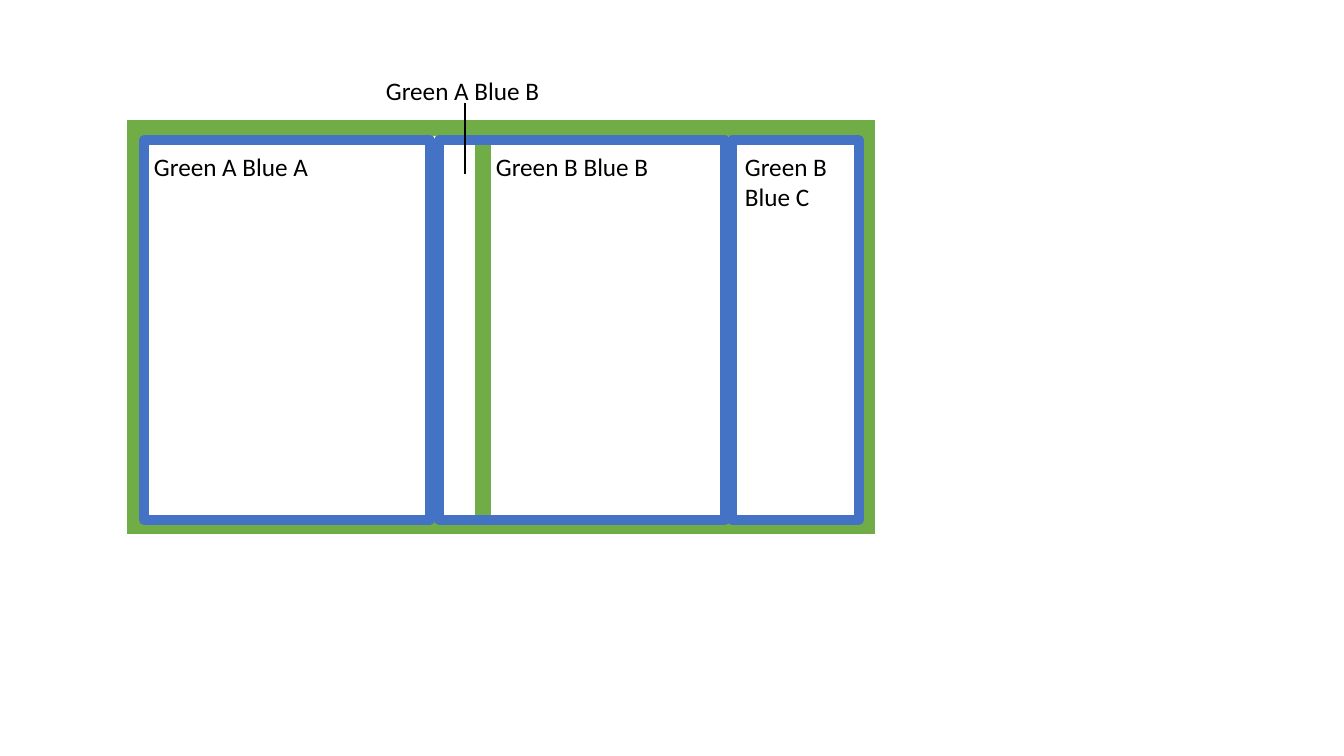
from dataclasses import dataclass

from lxml.etree import SubElement
from pptx import Presentation
from pptx.dml.color import RGBColor
from pptx.enum.shapes import MSO_CONNECTOR, MSO_SHAPE
from pptx.enum.text import MSO_AUTO_SIZE
from pptx.oxml.ns import qn
from pptx.slide import Slide
from pptx.util import Emu, Pt

PIXELS_PER_INCH = 100.8


@dataclass(frozen=True)
class Theme:
    """Colours, type and line widths of the slide."""

    green: str = "70AD47"
    blue: str = "4472C4"
    white: str = "FFFFFF"
    black: str = "000000"
    font: str = "Calibri"
    text_size: int = 18
    green_width: int = 11
    blue_width: int = 7
    pointer_width: int = 2


@dataclass(frozen=True)
class Box:
    """A rectangle in pixels."""

    left: int
    top: int
    width: int
    height: int


@dataclass(frozen=True)
class Label:
    """Text lines and the box that holds them."""

    lines: tuple[str, ...]
    box: Box


THEME = Theme()
GREEN_TOP, GREEN_WIDTH, GREEN_HEIGHT = 128, 384, 398
BLUE_TOP, BLUE_WIDTH, BLUE_HEIGHT = 140, 286, 380
LABEL_TOP, LABEL_HEIGHT = 146, 40

GREEN_FRAMES = [Box(left, GREEN_TOP, GREEN_WIDTH, GREEN_HEIGHT) for left in (135, 483)]
BLUE_FRAMES = [
    Box(left, BLUE_TOP, width, BLUE_HEIGHT)
    for left, width in ((144, BLUE_WIDTH), (732, 127), (439, BLUE_WIDTH))
]
LABELS = [
    Label(("Green A Blue A",), Box(144, LABEL_TOP, 176, LABEL_HEIGHT)),
    Label(("Green B Blue B",), Box(486, LABEL_TOP, 174, LABEL_HEIGHT)),
    Label(("Green B", "Blue C"), Box(735, LABEL_TOP, 104, 72)),
    Label(("Green A Blue B",), Box(376, 70, 175, LABEL_HEIGHT)),
]


def pixels(length: int) -> Emu:
    """Turn pixels into EMU."""
    return Emu(round(length * 914400 / PIXELS_PER_INCH))


def place(box: Box) -> tuple[Emu, Emu, Emu, Emu]:
    """Give the left, top, width and height of a box in EMU."""
    return pixels(box.left), pixels(box.top), pixels(box.width), pixels(box.height)


def add_frame(
    slide: Slide, box: Box, *, color: str, width: int, join: str, fill: str | None = None
) -> None:
    """Draw an outlined rectangle, hollow unless a fill is given."""
    shape = slide.shapes.add_shape(MSO_SHAPE.RECTANGLE, *place(box))
    shape.shadow.inherit = False
    if fill is None:
        shape.fill.background()
    else:
        shape.fill.solid()
        shape.fill.fore_color.rgb = RGBColor.from_string(fill)
    shape.line.color.rgb = RGBColor.from_string(color)
    shape.line.width = Pt(width)
    line_xml = shape.line._get_or_add_ln()
    join_xml = SubElement(line_xml, qn(f"a:{join}"))
    if join == "miter":
        join_xml.set("lim", "800000")


def add_text(
    slide: Slide,
    label: Label,
    *,
    size: int = THEME.text_size,
    color: str = THEME.black,
    font: str = THEME.font,
) -> None:
    """Write each line of a label as a paragraph in one text box."""
    frame = slide.shapes.add_textbox(*place(label.box)).text_frame
    frame.word_wrap = False
    frame.auto_size = MSO_AUTO_SIZE.SHAPE_TO_FIT_TEXT
    frame.text = "\n".join(label.lines)
    for paragraph in frame.paragraphs:
        for run in paragraph.runs:
            run.font.name = font
            run.font.size = Pt(size)
            run.font.color.rgb = RGBColor.from_string(color)


def add_pointer(slide: Slide, x: int, top: int, bottom: int) -> None:
    """Draw a vertical line from a label into its region."""
    connector = slide.shapes.add_connector(
        MSO_CONNECTOR.STRAIGHT, pixels(x), pixels(top), pixels(x), pixels(bottom)
    )
    connector.line.color.rgb = RGBColor.from_string(THEME.black)
    connector.line.width = Pt(THEME.pointer_width)
    SubElement(connector._element.spPr, qn("a:effectLst"))


def main() -> None:
    """Build and save the slide of overlapping green and blue regions."""
    presentation = Presentation()
    presentation.slide_width = pixels(1344)
    presentation.slide_height = pixels(756)
    slide = presentation.slides.add_slide(presentation.slide_layouts[6])
    for box in GREEN_FRAMES:
        add_frame(slide, box, color=THEME.green, width=THEME.green_width,
                  join="miter", fill=THEME.white)
    for box in BLUE_FRAMES:
        add_frame(slide, box, color=THEME.blue, width=THEME.blue_width, join="round")
    for label in LABELS:
        add_text(slide, label)
    add_pointer(slide, x=465, top=103, bottom=174)
    presentation.save("out.pptx")


main()
